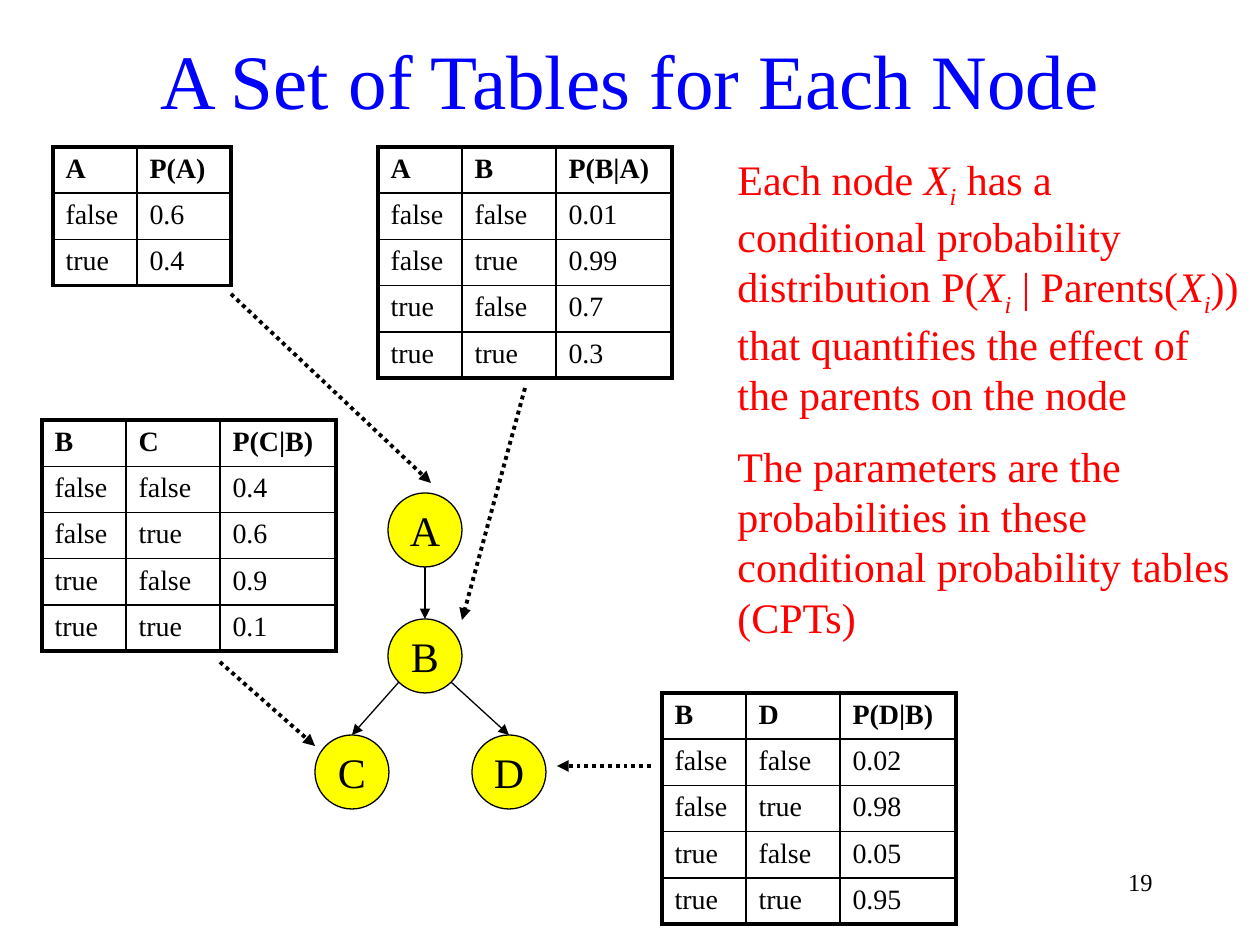
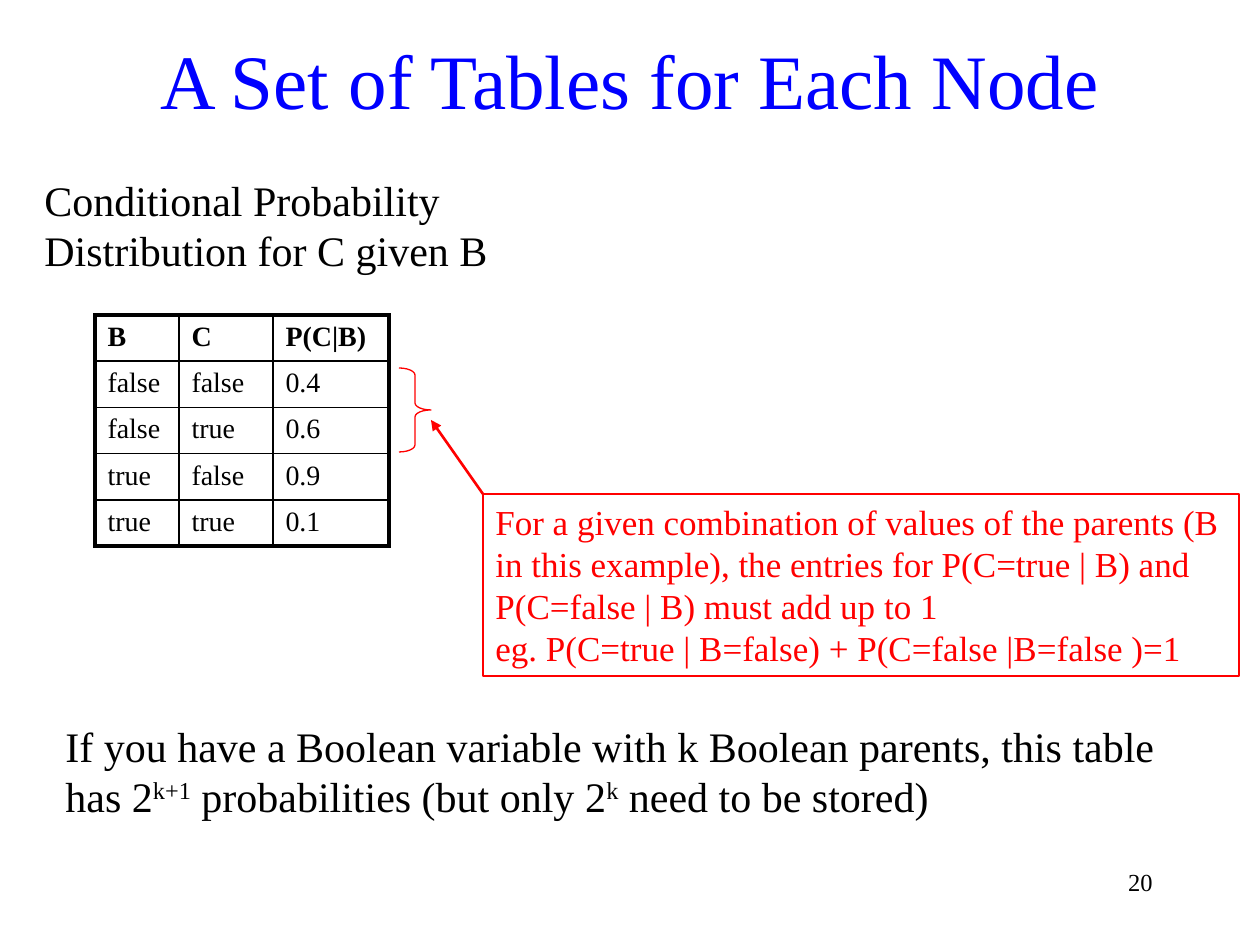
from math import cos, radians, sin

from lxml import etree
from pptx import Presentation
from pptx.dml.color import RGBColor
from pptx.enum.dml import MSO_LINE
from pptx.enum.shapes import MSO_CONNECTOR, MSO_SHAPE
from pptx.enum.text import MSO_ANCHOR, MSO_AUTO_SIZE, PP_ALIGN
from pptx.oxml.ns import qn
from pptx.util import Emu, Pt

COLORS = {"title": "0000FF", "accent": "FF0000", "ink": "000000", "node": "FFFF00"}
FONT = "Times New Roman"
TITLE = "A Set of Tables for Each Node"
TITLE_BOX = (94, 21, 1072, 116)
NUMBER_BOX = (1029, 861, 136, 63)
EMU_PER_PX = 914400 / 126

COL_WIDTHS = (84, 94, 116)
ROW_HEIGHT = 46
THIN, THICK = 1, 2.25
BASELINES = {"sub": -25000, "sup": 30000}

VALUE_PAIRS = [("false", "false"), ("false", "true"), ("true", "false"), ("true", "true")]


def cpt(parent, child, probs):
    header = (parent, child, f"P({child}|{parent})")
    return [header] + [pair + (prob,) for pair, prob in zip(VALUE_PAIRS, probs)]


CPT_A = [("A", "P(A)"), ("false", "0.6"), ("true", "0.4")]
CPT_B = cpt("A", "B", ("0.01", "0.99", "0.7", "0.3"))
CPT_C = cpt("B", "C", ("0.4", "0.6", "0.9", "0.1"))
CPT_D = cpt("B", "D", ("0.02", "0.98", "0.05", "0.95"))
NODE_TABLES = [(53, 147, CPT_A), (378, 147, CPT_B), (42, 420, CPT_C), (662, 693, CPT_D)]

NODE_RADIUS = 37
NODES = {"A": (425, 530), "B": (425, 656), "C": (352, 772), "D": (509, 772)}
EDGES = [("A", "B", 0), ("B", "C", -45), ("B", "D", 45)]
TABLE_ARROWS = [
    ((231, 294), (431, 483)),
    ((525, 388), (462, 620)),
    ((651, 766), (557, 766)),
    ((220, 662), (315, 746)),
]

X_I = [("X", "i"), ("i", "sub")]
EXPLANATION = [
    [("Each node ", ""), *X_I, (" has a conditional probability distribution P(", ""), *X_I,
     (" | Parents(", ""), *X_I,
     (")) that quantifies the effect of the parents on the node", "")],
    [("The parameters are the probabilities in these conditional probability tables (CPTs)", "")],
]
CPT_CAPTION = [[("Conditional Probability Distribution for C given B", "")]]
SUM_RULE = [
    [("For a given combination of values of the parents (B in this example), the entries for "
      "P(C=true | B) and P(C=false | B) must add up to 1", "")],
    [("eg. P(C=true | B=false) + P(C=false |B=false )=1", "")],
]
TABLE_SIZE = [
    [("If you have a Boolean variable with k Boolean parents, this table has 2", ""),
     ("k+1", "sup"), (" probabilities (but only 2", ""), ("k", "sup"),
     (" need to be stored)", "")],
]


def px(value):
    return Emu(round(value * EMU_PER_PX))


def box(*values):
    return [px(v) for v in values]


def rgb(name):
    return RGBColor.from_string(COLORS[name])


def style(p, size, color="ink", bold=False, align=PP_ALIGN.LEFT):
    p.alignment = align
    font = p.font
    font.name, font.size, font.bold = FONT, Pt(size), bold
    font.color.rgb = rgb(color)


def write(tf, paragraphs, size, color="ink", gap=0, align=PP_ALIGN.LEFT):
    tf.word_wrap = True
    for i, runs in enumerate(paragraphs):
        p = tf.add_paragraph() if i else tf.paragraphs[0]
        if i and gap:
            p.space_before = Pt(gap)
        for text, kind in runs:
            r = p.add_run()
            r.text = text
            if kind in ("i", "sub"):
                r.font.italic = True
            if kind in BASELINES:
                r._r.get_or_add_rPr().set("baseline", str(BASELINES[kind]))
        style(p, size, color, align=align)


def add_text(s, place, paragraphs, size=24, color="ink", gap=0, align=PP_ALIGN.LEFT):
    sp = s.shapes.add_textbox(*box(*place))
    write(sp.text_frame, paragraphs, size, color, gap, align)


def add_outlined(s, kind, place, color, fill=None):
    sp = s.shapes.add_shape(kind, *box(*place))
    sp.shadow.inherit = False
    if fill:
        sp.fill.solid()
        sp.fill.fore_color.rgb = rgb(fill)
    else:
        sp.fill.background()
    sp.line.color.rgb = rgb(color)
    sp.line.width = Pt(0.75)
    return sp


def add_arrow(s, start, end, width, color="ink", dash=None):
    cx = s.shapes.add_connector(MSO_CONNECTOR.STRAIGHT, *box(*start, *end))
    cx.line.color.rgb = rgb(color)
    cx.line.width = Pt(width)
    if dash:
        cx.line.dash_style = dash
    spPr = cx._element.spPr
    etree.SubElement(spPr.find(qn("a:ln")), qn("a:tailEnd"), type="triangle")
    etree.SubElement(spPr, qn("a:effectLst"))


def set_borders(cell, widths):
    tcPr = cell._tc.get_or_add_tcPr()
    for side, width in widths.items():
        ln = etree.SubElement(tcPr, qn(f"a:ln{side}"), w=str(Pt(width)))
        fill = etree.SubElement(ln, qn("a:solidFill"))
        etree.SubElement(fill, qn("a:srgbClr"), val=COLORS["ink"])


def add_cpt(s, left, top, rows):
    n_rows, n_cols = len(rows), len(rows[0])
    widths = COL_WIDTHS[:n_cols]
    place = box(left, top, sum(widths), ROW_HEIGHT * n_rows)
    table = s.shapes.add_table(n_rows, n_cols, *place).table
    table.first_row = table.horz_banding = False
    for column, width in zip(table.columns, widths):
        column.width = px(width)
    for i, row in enumerate(rows):
        table.rows[i].height = px(ROW_HEIGHT)
        for j, text in enumerate(row):
            cell = table.cell(i, j)
            cell.text = text
            style(cell.text_frame.paragraphs[0], 16, bold=i == 0)
            outer = {"L": j == 0, "R": j == n_cols - 1, "T": i == 0, "B": i == n_rows - 1}
            set_borders(cell, {k: THICK if edge else THIN for k, edge in outer.items()})
            cell.fill.background()


def add_slide(prs, number):
    s = prs.slides.add_slide(prs.slide_layouts[5])
    title = s.shapes.title
    title.left, title.top, title.width, title.height = box(*TITLE_BOX)
    tf = title.text_frame
    tf.auto_size = MSO_AUTO_SIZE.NONE
    tf.vertical_anchor = MSO_ANCHOR.MIDDLE
    write(tf, [[(TITLE, "")]], 44, "title", align=PP_ALIGN.CENTER)
    add_text(s, NUMBER_BOX, [[(str(number), "")]], 14, align=PP_ALIGN.RIGHT)
    return s


def add_network(s):
    r = NODE_RADIUS
    for name, (x, y) in NODES.items():
        sp = add_outlined(s, MSO_SHAPE.OVAL, (x - r, y - r, 2 * r, 2 * r), "ink", "node")
        tf = sp.text_frame
        tf.vertical_anchor = MSO_ANCHOR.MIDDLE
        write(tf, [[(name, "")]], 24, align=PP_ALIGN.CENTER)
        tf.word_wrap = False
    for parent, child, angle in EDGES:
        (x, y), (child_x, child_y) = NODES[parent], NODES[child]
        start = (x + r * sin(radians(angle)), y + r * cos(radians(angle)))
        add_arrow(s, start, (child_x, child_y - r), 0.75)


def build_node_tables(prs):
    s = add_slide(prs, 19)
    add_text(s, (725, 147, 535, 490), EXPLANATION, color="accent", gap=12)
    for left, top, rows in NODE_TABLES:
        add_cpt(s, left, top, rows)
    add_network(s)
    for start, end in TABLE_ARROWS:
        add_arrow(s, start, end, 2.25, dash=MSO_LINE.ROUND_DOT)


def build_sum_rule(prs):
    s = add_slide(prs, 20)
    add_text(s, (32, 168, 514, 113), CPT_CAPTION)
    add_text(s, (53, 714, 1166, 113), TABLE_SIZE)
    add_cpt(s, 95, 315, CPT_C)
    brace = add_outlined(s, MSO_SHAPE.RIGHT_BRACE, (399, 368, 32, 84), "accent")
    brace.adjustments[0] = 0.22
    note = add_outlined(s, MSO_SHAPE.RECTANGLE, (483, 494, 756, 182), "accent")
    note.text_frame.vertical_anchor = MSO_ANCHOR.TOP
    write(note.text_frame, SUM_RULE, 20, "accent")
    add_arrow(s, (483, 494), (431, 420), 1.5, "accent")


def main():
    prs = Presentation()
    prs.slide_width, prs.slide_height = box(1260, 945)
    build_node_tables(prs)
    build_sum_rule(prs)
    prs.save("out.pptx")


if __name__ == "__main__":
    main()
